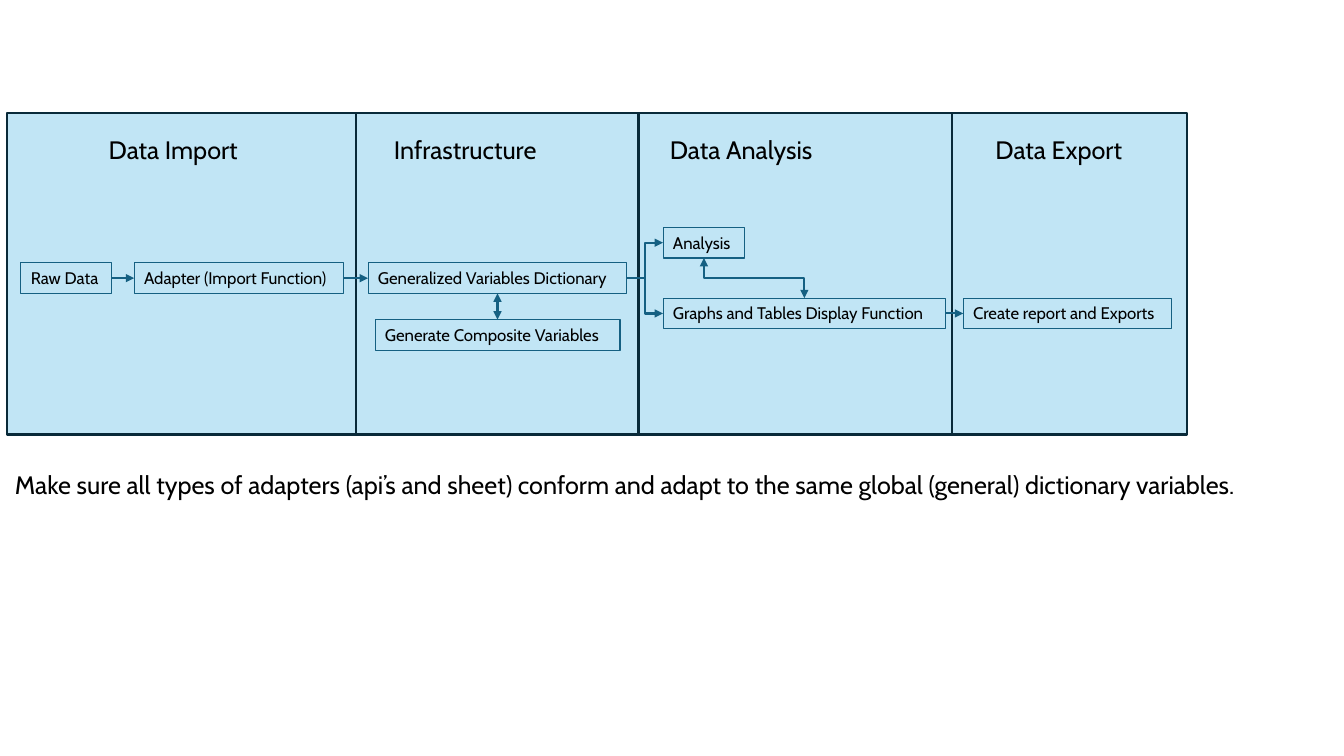
from itertools import pairwise

from lxml.etree import SubElement
from pptx import Presentation
from pptx.dml.color import RGBColor
from pptx.enum.shapes import MSO_CONNECTOR as CONN, MSO_SHAPE as SHAPE
from pptx.enum.text import MSO_AUTO_SIZE as FIT
from pptx.oxml.ns import qn
from pptx.util import Pt

FONT = "Cabin"
BLACK, NAVY, TEAL, SKY = "000000", "092A39", "156082", "C1E5F5"
TOP, LEFT, BOTTOM, RIGHT = range(4)  # connection sites of a rectangle
BOX_H = 21.8


def color(hex_string):
    return RGBColor.from_string(hex_string)


def add_panel(s, left, right):
    sp = s.shapes.add_shape(SHAPE.RECTANGLE, Pt(left), Pt(80.7),
                            Pt(right - left), Pt(229.7))
    sp.shadow.inherit = False
    sp.fill.solid()
    sp.fill.fore_color.rgb = color(SKY)
    sp.line.color.rgb = color(NAVY)
    sp.line.width = Pt(1.5)


def add_label(s, text, x, y, w, h=29.1, size=18):
    sp = s.shapes.add_textbox(Pt(x), Pt(y), Pt(w), Pt(h))
    tf = sp.text_frame
    tf.word_wrap = False
    tf.auto_size = FIT.SHAPE_TO_FIT_TEXT
    r = tf.paragraphs[0].add_run()
    r.text = text
    r.font.name = FONT
    r.font.size = Pt(size)
    r.font.color.rgb = color(BLACK)
    return sp


def add_box(s, text, x, y, w):
    sp = add_label(s, text, x, y, w, BOX_H, 12)
    sp.line.color.rgb = color(TEAL)
    sp.line.width = Pt(0.75)
    return sp


def add_arrow(s, start, end, sites=(RIGHT, LEFT), kind=CONN.STRAIGHT, both=False):
    c = s.shapes.add_connector(kind, 0, 0, 0, 0)
    c.begin_connect(start, sites[0])
    c.end_connect(end, sites[1])
    c.line.color.rgb = color(TEAL)
    c.line.width = Pt(1.5)
    ln = c.line._get_or_add_ln()
    for tag in ("a:headEnd", "a:tailEnd") if both else ("a:tailEnd",):
        SubElement(ln, qn(tag), type="triangle")
    SubElement(c._element.spPr, qn("a:effectLst"))
    return c


def turn_downward(c):
    """Make an elbow leave and arrive vertically, keeping its end points."""
    w, h = c.width, c.height
    c.left, c.top = c.left + (w - h) // 2, c.top + (h - w) // 2
    c.width, c.height = h, w
    xfrm = c._element.spPr.find(qn("a:xfrm"))
    xfrm.set("rot", str(270 * 60000))
    xfrm.set("flipH", "1")


def main():
    prs = Presentation()
    prs.slide_width, prs.slide_height = Pt(960), Pt(540)
    s = prs.slides.add_slide(prs.slide_layouts[6])

    # Stage panels
    for left, right in pairwise((5, 254.2, 456.1, 680.3, 848.1)):
        add_panel(s, left, right)

    # Process steps
    main_y, upper_y, lower_y = 187.8, 162.5, 213
    raw = add_box(s, "Raw Data", 15, main_y, 64.8)
    adapter = add_box(s, "Adapter (Import Function)", 95.8, main_y, 149.8)
    dictionary = add_box(s, "Generalized Variables Dictionary", 262.9, main_y, 185)
    composite = add_box(s, "Generate Composite Variables", 267.9, 228.3, 175)
    analysis = add_box(s, "Analysis", 473.6, upper_y, 58.3)
    graphs = add_box(s, "Graphs and Tables Display Function", 473.6, lower_y, 201.8)
    report = add_box(s, "Create report and Exports", 688, lower_y, 148.8)

    # Flow arrows
    for start, end in ((raw, adapter), (adapter, dictionary), (graphs, report)):
        add_arrow(s, start, end)
    for end in (analysis, graphs):
        add_arrow(s, dictionary, end, kind=CONN.ELBOW)
    down = (BOTTOM, TOP)
    add_arrow(s, dictionary, composite, down, both=True)
    turn_downward(add_arrow(s, analysis, graphs, down, CONN.ELBOW, both=True))

    # Stage headings and the note below
    for text, x, w in (("Data Import", 70.6, 108), ("Infrastructure", 274.3, 121.7),
                       ("Data Analysis", 471.4, 121), ("Data Export", 704, 105.8)):
        add_label(s, text, x, 92.2, w)
    add_label(s, "Make sure all types of adapters (api’s and sheet) conform and adapt "
              "to the same global (general) dictionary variables.", 3.6, 332, 915)

    prs.save("out.pptx")


if __name__ == "__main__":
    main()
